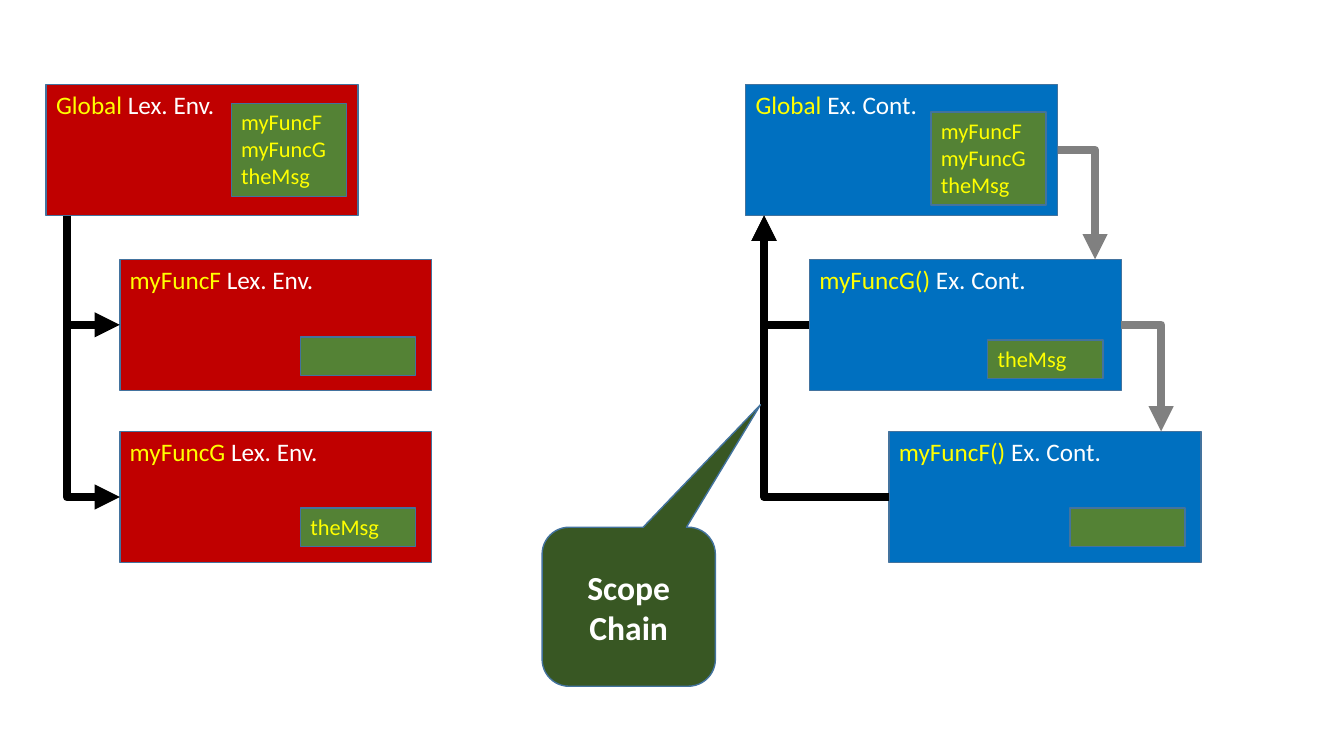
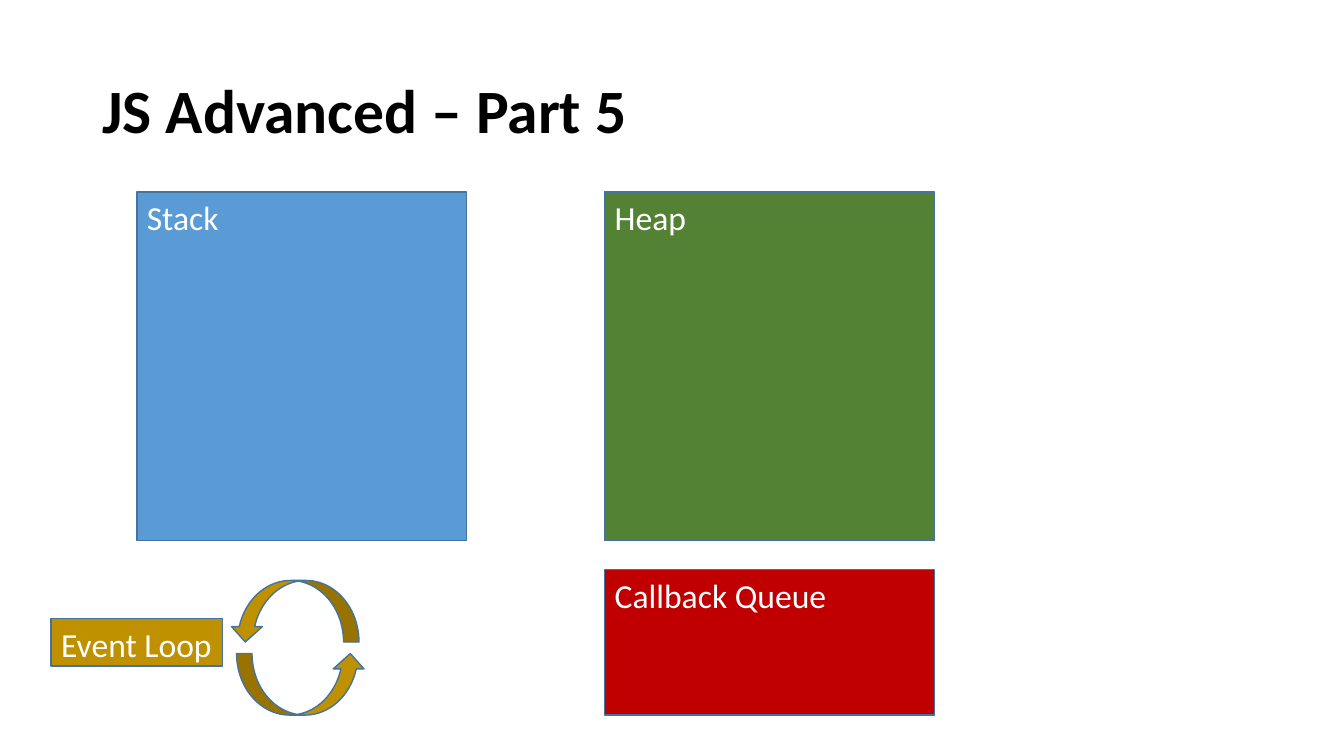
from lxml import etree
from pptx import Presentation
from pptx.dml.color import RGBColor
from pptx.enum.shapes import MSO_CONNECTOR, MSO_SHAPE
from pptx.enum.text import MSO_ANCHOR, PP_ALIGN
from pptx.oxml.ns import qn
from pptx.util import Pt

RECTANGLE = MSO_SHAPE.RECTANGLE
CALLOUT = MSO_SHAPE.ROUNDED_RECTANGULAR_CALLOUT
CURVED_ARROW = MSO_SHAPE.CURVED_UP_ARROW
ELBOW = MSO_CONNECTOR.ELBOW
TOP, MIDDLE = MSO_ANCHOR.TOP, MSO_ANCHOR.MIDDLE
LEFT, CENTER = PP_ALIGN.LEFT, PP_ALIGN.CENTER

FONT = "Calibri"
WHITE = RGBColor(0xFF, 0xFF, 0xFF)
BLACK = RGBColor(0x00, 0x00, 0x00)
GRAY = RGBColor(0x80, 0x80, 0x80)
YELLOW = RGBColor(0xFF, 0xFF, 0x00)
RED = RGBColor(0xC0, 0x00, 0x00)
BLUE = RGBColor(0x00, 0x70, 0xC0)
LIGHT_BLUE = RGBColor(0x5B, 0x9B, 0xD5)
GREEN = RGBColor(0x54, 0x82, 0x35)
DARK_GREEN = RGBColor(0x38, 0x57, 0x23)
GOLD = RGBColor(0xBF, 0x90, 0x00)
OUTLINE = RGBColor(0x43, 0x73, 0x9E)


def add_box(slide, text, left, top, width, height, fill, kind=RECTANGLE, size=24,
            color=WHITE, lead="", bold=False, align=LEFT, anchor=TOP):
    """Draw an outlined shape; lead is yellow text before the first line."""
    shape = slide.shapes.add_shape(kind, Pt(left), Pt(top), Pt(width), Pt(height))
    shape.shadow.inherit = False
    shape.fill.solid()
    shape.fill.fore_color.rgb = fill
    shape.line.color.rgb = OUTLINE
    shape.line.width = Pt(1)
    frame = shape.text_frame
    frame.word_wrap = True
    frame.vertical_anchor = anchor
    for index, line in enumerate(text.splitlines()):
        paragraph = frame.add_paragraph() if index else frame.paragraphs[0]
        paragraph.alignment = align
        parts = [(line, color)]
        if lead and index == 0:
            parts.insert(0, (lead, YELLOW))
        for part, part_color in parts:
            run = paragraph.add_run()
            run.text = part
            run.font.name = FONT
            run.font.size = Pt(size)
            run.font.bold = bold
            run.font.color.rgb = part_color
    return shape


def add_arrow(slide, start, end, color, down_first=False):
    """Draw an arrow with one corner; it runs sideways first by default."""
    (x1, y1), (x2, y2) = start, end
    if down_first:
        # The frame is a quarter turn about the centre of the arrow
        middle_x, middle_y = (x1 + x2) / 2, (y1 + y2) / 2
        half_width, half_height = (x2 - x1) / 2, (y2 - y1) / 2
        x1, x2 = middle_x + half_height, middle_x - half_height
        y1, y2 = middle_y - half_width, middle_y + half_width
    connector = slide.shapes.add_connector(ELBOW, Pt(x1), Pt(y1), Pt(x2), Pt(y2))
    connector.line.color.rgb = color
    connector.line.width = Pt(6)
    properties = connector.element.find(qn("p:spPr"))
    properties.find(qn("a:prstGeom")).set("prst", "bentConnector2")
    if down_first:
        properties.find(qn("a:xfrm")).set("rot", "16200000")
    etree.SubElement(properties.find(qn("a:ln")), qn("a:tailEnd"), type="triangle")
    etree.SubElement(properties, qn("a:effectLst"))


presentation = Presentation()
presentation.slide_width = Pt(960)
presentation.slide_height = Pt(540)

# Slide 1: environments on the left, execution contexts on the right
slide = presentation.slides.add_slide(presentation.slide_layouts[6])
BOX_WIDTH, BOX_HEIGHT = 222.8, 93.6
ROWS = [60.4, 185.2, 308.2]
MIDDLES = [row + BOX_HEIGHT / 2 for row in ROWS]
GLOBAL_BOTTOM = ROWS[0] + BOX_HEIGHT
ENVIRONMENT_LEFTS = [33, 85.6, 85.6]
CONTEXT_LEFTS = [532.6, 578.2, 635]
GLOBAL_NAMES = "myFuncF\nmyFuncG\ntheMsg"

# Owner, names it holds, left and top of the list of names
environments = [
    ("Global", GLOBAL_NAMES, 165.2, 74),
    ("myFuncF", "", 214.6, 240.6),
    ("myFuncG", "theMsg", 214.6, 363),
]
contexts = [
    ("Global", GLOBAL_NAMES, 665, 80),
    ("myFuncG()", "theMsg", 705.6, 242.8),
    ("myFuncF()", "", 764.4, 363),
]
groups = [
    (environments, ENVIRONMENT_LEFTS, " Lex. Env.", RED),
    (contexts, CONTEXT_LEFTS, " Ex. Cont.", BLUE),
]
for entries, lefts, suffix, fill in groups:
    for (owner, names, names_left, names_top), left, top in zip(entries, lefts, ROWS):
        add_box(slide, suffix, left, top, BOX_WIDTH, BOX_HEIGHT, fill,
                size=18, lead=owner)
        names_height = 66.4 if names == GLOBAL_NAMES else 27.6
        add_box(slide, names, names_left, names_top, 82.2, names_height, GREEN,
                size=16, color=YELLOW)

# Arrows to the inner environments, and back along the scope chain
for row in (1, 2):
    add_arrow(slide, (47.8, GLOBAL_BOTTOM), (ENVIRONMENT_LEFTS[row], MIDDLES[row]),
              BLACK, down_first=True)
    add_arrow(slide, (CONTEXT_LEFTS[row], MIDDLES[row]), (545.8, GLOBAL_BOTTOM), BLACK)

# Arrows from each context to the next one
for row, arrow_x in enumerate((782.2, 829.4)):
    add_arrow(slide, (CONTEXT_LEFTS[row] + BOX_WIDTH, MIDDLES[row]),
              (arrow_x, ROWS[row + 1]), GRAY)

callout = add_box(slide, "Scope\nChain", 387.2, 376.6, 123.8, 113.6, DARK_GREEN,
                  kind=CALLOUT, bold=True, align=CENTER, anchor=MIDDLE)
for index, value in enumerate((0.76, -1.27, 0.17)):
    callout.adjustments[index] = value

# Slide 2: parts of the runtime
slide = presentation.slides.add_slide(presentation.slide_layouts[5])
title = slide.shapes.title
title.left, title.top, title.width, title.height = Pt(66), Pt(28.8), Pt(828), Pt(104.4)
title.text_frame.text = "JS Advanced – Part 5"
title.text_frame.vertical_anchor = MIDDLE
paragraph = title.text_frame.paragraphs[0]
paragraph.alignment = LEFT
paragraph.line_spacing = 0.9
paragraph.font.name = FONT
paragraph.font.size = Pt(44)
paragraph.font.bold = True
paragraph.font.color.rgb = BLACK

for text, left, top, width, height, fill in [
    ("Stack", 97.8, 137.2, 235.4, 249, LIGHT_BLUE),
    ("Heap", 432, 137.2, 235.4, 249, GREEN),
    ("Callback Queue", 432, 407, 235.4, 103.6, RED),
    ("Event Loop", 36.6, 441.8, 122.4, 34, GOLD),
]:
    add_box(slide, text, left, top, width, height, fill)

# Event loop: two half circles, one turned around
for left, top, rotation in [(169, 466.8, 0), (164.2, 414.6, 180)]:
    arrow = add_box(slide, "", left, top, 92.2, 44, GOLD, kind=CURVED_ARROW)
    arrow.rotation = rotation

presentation.save("out.pptx")
